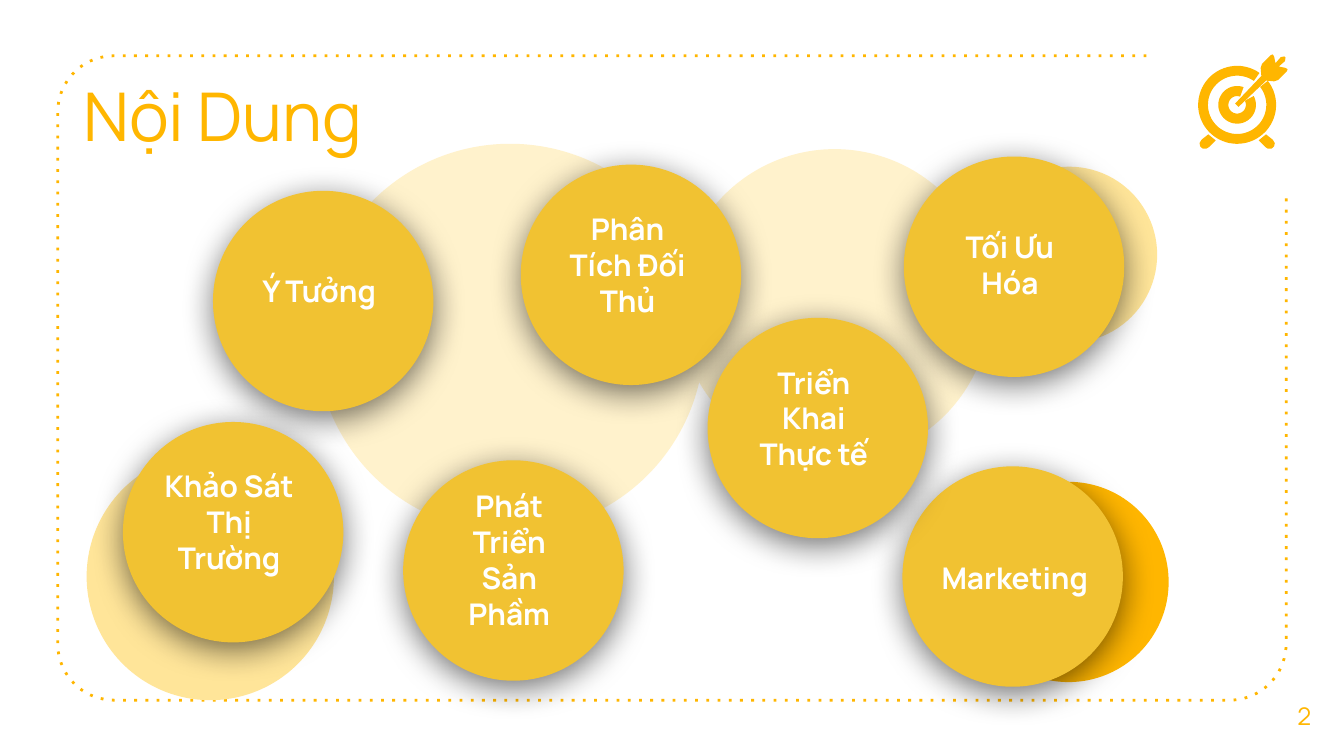
from math import cos, radians, sin

from lxml import etree
from pptx import Presentation
from pptx.dml.color import RGBColor
from pptx.enum.shapes import MSO_SHAPE
from pptx.enum.text import MSO_ANCHOR, PP_ALIGN
from pptx.oxml.ns import qn
from pptx.util import Inches, Pt

AMBER = RGBColor(0xFF, 0xB6, 0x00)
GOLD = RGBColor(0xF1, 0xC2, 0x32)
SAND = RGBColor(0xFF, 0xE5, 0x99)
CREAM = RGBColor(0xFF, 0xF2, 0xCC)
WHITE = RGBColor(0xFF, 0xFF, 0xFF)
BLACK = RGBColor(0x00, 0x00, 0x00)

COLUMNS, ROWS = 100, 56.25
BUBBLE = 16.4


def arc(center, radius, start, end, step=5):
    """Points along an arc; angles in degrees, clockwise from the right."""
    count = max(2, round(abs(end - start) / step))
    angles = [radians(start + (end - start) * i / count) for i in range(count + 1)]
    return [(center[0] + radius * cos(a), center[1] + radius * sin(a)) for a in angles]


def ring(center, outer, inner, start, end):
    """Outline of a ring that is open between end and start."""
    return arc(center, outer, start, end) + arc(center, inner, end, start)


class Canvas:
    """Style and current slide; lengths are columns and rows of the grid."""

    font = "Manrope"

    def __init__(self, deck):
        self.slide = deck.slides.add_slide(deck.slide_layouts[6])
        self.column = deck.slide_width / COLUMNS
        self.row = deck.slide_height / ROWS

    def place(self, left, top, width, height):
        return (round(left * self.column), round(top * self.row),
                round(width * self.column), round(height * self.row))

    def text(self, words, box, size, color=AMBER, bold=False,
             align=PP_ALIGN.CENTER, anchor=MSO_ANCHOR.MIDDLE):
        frame = self.slide.shapes.add_textbox(*self.place(*box)).text_frame
        frame.word_wrap = True
        frame.vertical_anchor = anchor
        frame.margin_left = frame.margin_right = Inches(0.1)
        frame.margin_top = frame.margin_bottom = Inches(0.1)
        paragraph = frame.paragraphs[0]
        paragraph.alignment = align
        run = paragraph.add_run()
        run.text = words
        run.font.name = self.font
        run.font.size = Pt(size)
        run.font.bold = bold
        run.font.color.rgb = color

    def circle(self, left, top, diameter, color):
        disc = self.slide.shapes.add_shape(
            MSO_SHAPE.OVAL, *self.place(left, top, diameter, diameter))
        disc.shadow.inherit = False
        disc.fill.solid()
        disc.fill.fore_color.rgb = color
        disc.line.fill.background()
        return disc

    def soft_shadow(self, shape):
        effects = shape._element.spPr.find(qn("a:effectLst"))
        shadow = etree.SubElement(effects, qn("a:outerShdw"), blurRad=str(Pt(18)),
                                  dist=str(Pt(4)), dir="5400000", algn="bl",
                                  rotWithShape="0")
        color = etree.SubElement(shadow, qn("a:srgbClr"), val=str(BLACK))
        etree.SubElement(color, qn("a:alpha"), val="55000")

    def bubble(self, left, top, topic, label_box):
        self.soft_shadow(self.circle(left, top, BUBBLE, GOLD))
        self.text(topic, label_box, 16, color=WHITE, bold=True)

    def outline(self, points, closed=True):
        spots = [(x * self.column, y * self.row) for x, y in points]
        builder = self.slide.shapes.build_freeform(*spots[0])
        builder.add_line_segments(spots[1:], close=closed)
        shape = builder.convert_to_shape()
        shape.shadow.inherit = False
        return shape

    def solid(self, points):
        shape = self.outline(points)
        shape.fill.solid()
        shape.fill.fore_color.rgb = AMBER
        shape.line.fill.background()

    def dotted_frame(self, left, top, right, bottom, radius):
        """Rounded border, open at the upper right corner for the icon."""
        low = bottom - radius
        frame = self.outline(
            [(85.3, top)]
            + arc((left + radius, top + radius), radius, 270, 180)
            + arc((left + radius, low), radius, 180, 90)
            + arc((right - radius, low), radius, 90, 0)
            + [(right, 14.6)], closed=False)
        frame.fill.background()
        frame.line.color.rgb = AMBER
        frame.line.width = Pt(1.5)
        etree.SubElement(frame.line._get_or_add_ln(), qn("a:prstDash"), val="dot")

    def target_icon(self, x, y):
        """Target with an arrow, centred on x and y."""
        self.solid(ring((x, y), 2.9, 2.17, -38, 305))
        self.solid(ring((x, y), 1.4, 0.65, -28, 290))
        foot = [(-2.15, 2.2), (-2.65, 2.6), (-2.8, 2.85), (-2.75, 3.1),
                (-2.55, 3.27), (-2.3, 3.27), (-2.1, 3.15), (-1.6, 2.65)]
        for side in (1, -1):
            self.solid([(x + side * dx, y + dy) for dx, dy in foot])
        # One half of the arrow; the other mirrors it across the diagonal.
        half = [(-0.15, -0.1), (1.8, -2.15), (1.75, -2.75), (1.85, -3.05),
                (2.5, -3.7), (2.65, -3.75), (2.75, -3.6), (2.85, -3.1),
                (3.25, -3.55), (3.5, -3.6)]
        mirrored = [(-dy, -dx) for dx, dy in reversed(half)]
        self.solid([(x + dx, y + dy) for dx, dy in half + mirrored])


BACKDROP = [
    (50.5, 11.1, 23.2, CREAM),
    (23.5, 10.7, 28.9, CREAM),
    (73, 12.4, 13.1, SAND),
    (6.45, 33.7, 18.4, SAND),
    (72.05, 35.85, 14.9, AMBER),
]
# Left and top of each bubble, its topic, then left, top and width of the label.
TOPICS = [
    (15.85, 14.2, "Ý Tưởng", 17.95, 16.5, 11.6),
    (9.15, 31.4, "Khảo Sát Thị Trường", 11.25, 33.65, 11.6),
    (38.75, 12.25, "Phân Tích Đối Thủ", 40.9, 14.55, 11.6),
    (67.25, 11.65, "Tối Ưu Hóa", 69.35, 14.55, 11.6),
    (67.15, 34.7, "Marketing", 68.9, 37.85, 13.2),
    (52.65, 23.65, "Triển Khai Thực tế", 54.75, 25.95, 11.6),
    (30, 34.25, "Phát Triển Sản Phầm", 32.1, 36.5, 11.6),
]


def main():
    deck = Presentation()
    deck.slide_width = Inches(10)
    deck.slide_height = deck.slide_width * 9 // 16
    canvas = Canvas(deck)
    canvas.dotted_frame(4.3, 4.15, 95.7, 52.1, 4.2)
    canvas.text("Nội Dung", (5.2, 4.5, 29.7, 9.4), 36,
                align=PP_ALIGN.LEFT, anchor=MSO_ANCHOR.TOP)
    canvas.text("2", (94.1, 50.25, 5.9, 6), 13)
    for left, top, diameter, color in BACKDROP:
        canvas.circle(left, top, diameter, color)
    canvas.target_icon(92.05, 7.8)
    for left, top, topic, label_left, label_top, label_width in TOPICS:
        canvas.bubble(left, top, topic, (label_left, label_top, label_width, 10.3))
    deck.save("out.pptx")


if __name__ == "__main__":
    main()
